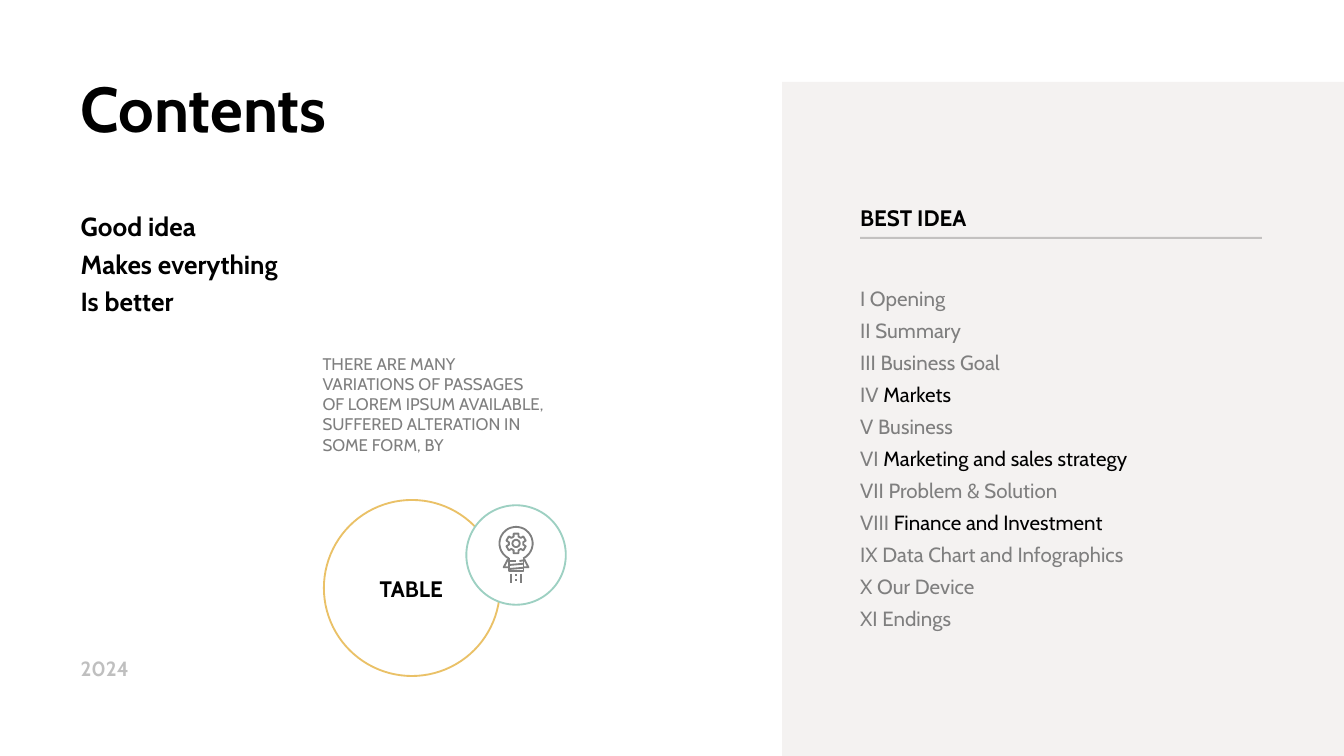
import math
import lxml.etree
import pptx
import pptx.dml.color
import pptx.enum.shapes
import pptx.enum.text
import pptx.oxml.ns
import pptx.util

Inches = pptx.util.Inches
SHAPES = pptx.enum.shapes.MSO_SHAPE
ALIGN = pptx.enum.text.PP_ALIGN
WIDTH = 10
HEIGHT = WIDTH * 9 / 16
BLACK, GRAY, SILVER = "000000", "7F7F7F", "BFBFBF"

AGENDA = [
    ("I Opening", ""),
    ("II Summary", ""),
    ("III Business Goal", ""),
    ("IV ", "Markets"),
    ("V Business", ""),
    ("VI ", "Marketing and sales strategy"),
    ("VII Problem & Solution", ""),
    ("VIII ", "Finance and Investment"),
    ("IX Data Chart and Infographics", ""),
    ("X Our Device", ""),
    ("XI Endings", ""),
]
SLOGAN = ["Good idea", "Makes everything", "Is better"]
PASSAGE = ("THERE ARE MANY VARIATIONS OF PASSAGES OF LOREM IPSUM AVAILABLE, "
           "SUFFERED ALTERATION IN SOME FORM, BY")

ICON_LEFT, ICON_TOP = 3.71, 3.91
ICON_UNITS_PER_INCH = 1000
ROCKET_STROKES = [
    [(75, 245), (75, 340), (185, 340), (185, 245)],
    [(75, 265), (128, 265)],
    [(155, 265), (185, 260)],
    [(75, 295), (185, 285)],
    [(75, 325), (185, 315)],
    [(70, 250), (38, 312), (75, 312)],
    [(190, 250), (222, 312), (185, 312)],
    [(95, 360), (95, 425)],
    [(165, 360), (165, 425)],
    [(130, 360), (130, 380)],
    [(130, 400), (130, 415)],
]


def paint(color_format, hex_color, opacity=100):
    """Set a colour from a hex string, with an opacity in percent."""
    color_format.rgb = pptx.dml.color.RGBColor.from_string(hex_color)
    if opacity < 100:
        for color in color_format._color._xClr.iter(pptx.oxml.ns.qn("a:srgbClr")):
            alpha = lxml.etree.SubElement(color, pptx.oxml.ns.qn("a:alpha"))
            alpha.set("val", str(opacity * 1000))


def style_shape(shape, fill=None, line=None, opacity=100):
    """Give a shape its fill and one-point outline, without a shadow."""
    shape.shadow.inherit = False
    if fill:
        shape.fill.solid()
        paint(shape.fill.fore_color, fill, opacity)
    else:
        shape.fill.background()
    if line:
        paint(shape.line.color, line)
        shape.line.width = pptx.util.Pt(1)
    else:
        shape.line.fill.background()


def add_shape(slide, preset, left, top, width, height, **style):
    """Add a preset shape."""
    shape = slide.shapes.add_shape(
        preset, Inches(left), Inches(top), Inches(width), Inches(height))
    style_shape(shape, **style)


def add_text(slide, left, top, width, height, paragraphs, size,
             bold=False, spacing=None, align=ALIGN.LEFT):
    """Add a text box whose paragraphs are lists of (text, colour) runs."""
    box = slide.shapes.add_textbox(
        Inches(left), Inches(top), Inches(width), Inches(height))
    frame = box.text_frame
    frame.word_wrap = True
    frame.margin_left = frame.margin_right = Inches(0.07)
    frame.margin_top = frame.margin_bottom = Inches(0.04)
    for index, runs in enumerate(paragraphs):
        paragraph = frame.add_paragraph() if index else frame.paragraphs[0]
        paragraph.alignment = align
        if spacing:
            paragraph.line_spacing = spacing
        for text, color in runs:
            run = paragraph.add_run()
            run.text = text
            run.font.name = "Cabin"
            run.font.size = pptx.util.Pt(size)
            run.font.bold = bold
            paint(run.font.color, color)


def add_rule(slide, left, right, height):
    """Add the faint horizontal line under a heading."""
    rule = slide.shapes.add_connector(
        pptx.enum.shapes.MSO_CONNECTOR.STRAIGHT,
        Inches(left), Inches(height), Inches(right), Inches(height))
    rule.line.width = pptx.util.Pt(1)
    paint(rule.line.color, BLACK, 20)
    lxml.etree.SubElement(rule._element.spPr, pptx.oxml.ns.qn("a:effectLst"))


def polar(center, radius, degrees):
    """Return the point at an angle on a circle."""
    angle = math.radians(degrees)
    return (center[0] + radius * math.cos(angle),
            center[1] + radius * math.sin(angle))


def add_icon(slide):
    """Draw the bulb rocket with a gear inside as one outline."""
    center = (130, 134)
    bulb = [polar(center, 123, degrees) for degrees in range(116, 425, 4)]
    hub = [polar(center, 27, degrees) for degrees in range(0, 361, 15)]
    gear = [polar(center, radius, tooth + offset)
            for tooth in range(-90, 270, 60)
            for radius, offset in ((54, -20), (75, -14), (75, 14), (54, 20))]
    strokes = [bulb, hub, gear + gear[:1]] + ROCKET_STROKES
    builder = slide.shapes.build_freeform(
        *strokes[0][0], scale=Inches(1) / ICON_UNITS_PER_INCH)
    builder.add_line_segments(strokes[0][1:], close=False)
    for stroke in strokes[1:]:
        builder.move_to(*stroke[0])
        builder.add_line_segments(stroke[1:], close=False)
    icon = builder.convert_to_shape(Inches(ICON_LEFT), Inches(ICON_TOP))
    style_shape(icon, line=GRAY)


def main():
    """Build and save the contents slide."""
    deck = pptx.Presentation()
    deck.slide_width, deck.slide_height = Inches(WIDTH), Inches(HEIGHT)
    slide = deck.slides.add_slide(deck.slide_layouts[6])

    add_shape(slide, SHAPES.RECTANGLE, 5.82, 0.61, WIDTH - 5.82, HEIGHT - 0.61,
              fill="D2C8C6", opacity=23)
    add_text(slide, 0.53, 4.84, 2.37, 0.25, [[("2024", SILVER)]], 11, bold=True)
    agenda = [[run for run in ((label, GRAY), (topic, BLACK)) if run[0]]
              for label, topic in AGENDA]
    add_text(slide, 6.33, 2.03, 2.65, 2.67, agenda, 11, spacing=1.3)
    add_text(slide, 6.33, 1.48, 1.42, 0.28, [[("BEST IDEA", BLACK)]], 12, bold=True)
    add_rule(slide, 6.4, 9.39, 1.77)
    add_text(slide, 2.33, 2.59, 1.8, 0.83, [[(PASSAGE, GRAY)]], 9)
    add_text(slide, 0.53, 0.47, 5.43, 0.65, [[("Contents", BLACK)]], 34, bold=True)
    add_text(slide, 0.53, 1.48, 2.35, 0.88,
             [[(line, BLACK)] for line in SLOGAN], 14, bold=True, spacing=1.2)
    add_shape(slide, SHAPES.OVAL, 2.41, 3.72, 1.31, 1.31, line="EAC167")
    add_shape(slide, SHAPES.OVAL, 3.47, 3.76, 0.74, 0.74,
              fill="FFFFFF", line="9DD0C2")
    add_icon(slide)
    add_text(slide, 2.47, 4.24, 1.18, 0.28, [[("TABLE", BLACK)]], 12,
             bold=True, align=ALIGN.CENTER)
    deck.save("out.pptx")


if __name__ == "__main__":
    main()
